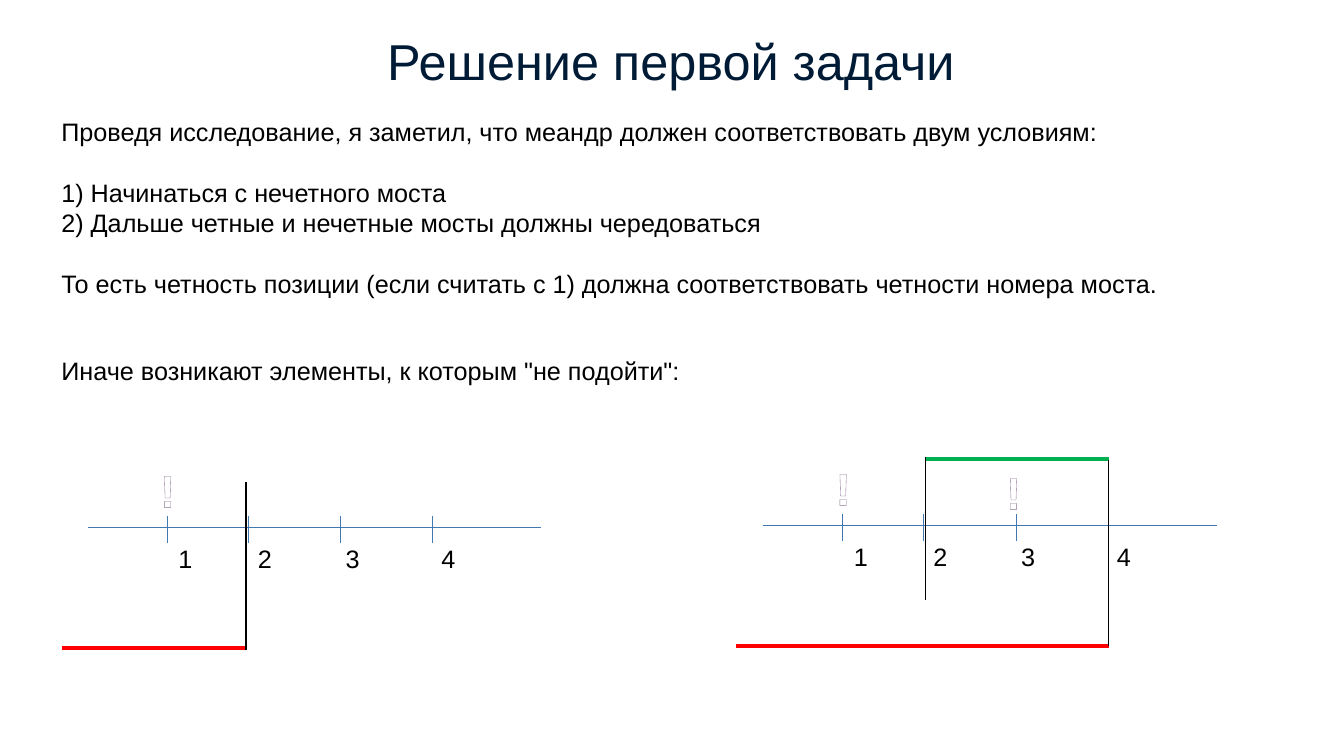
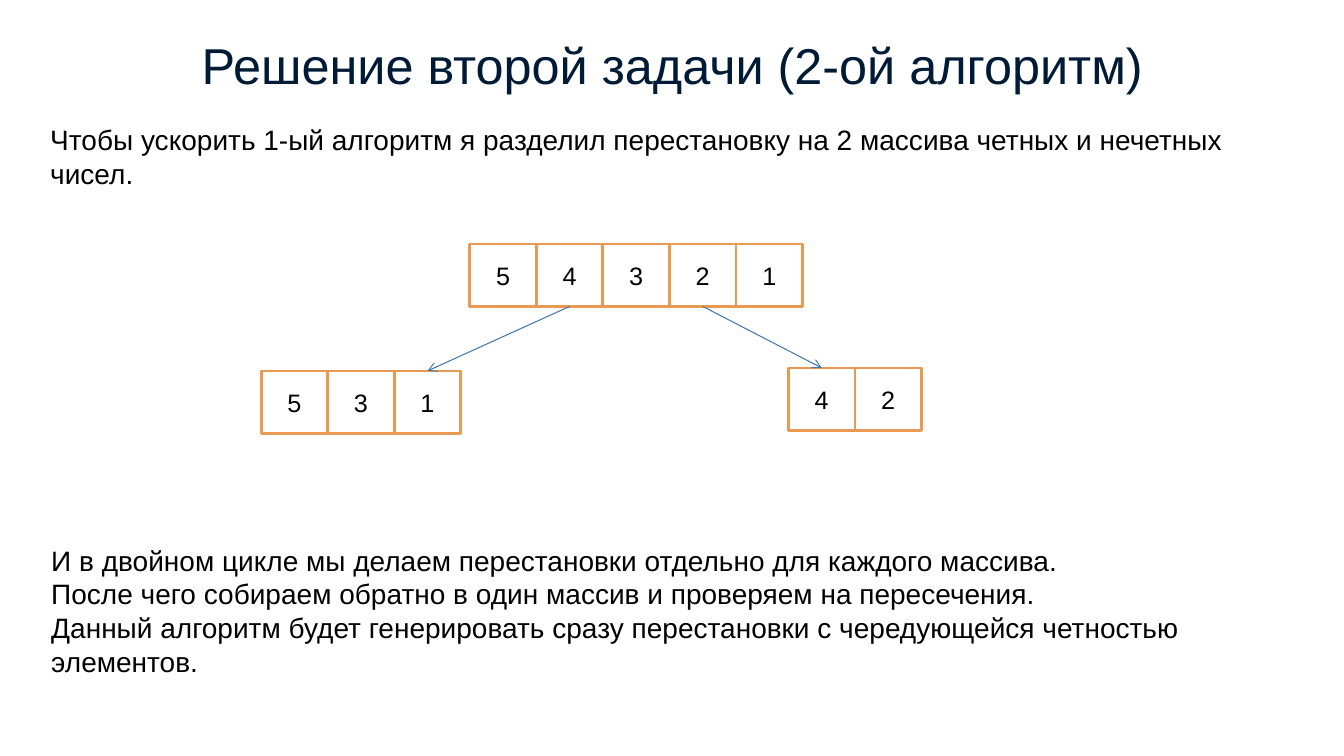
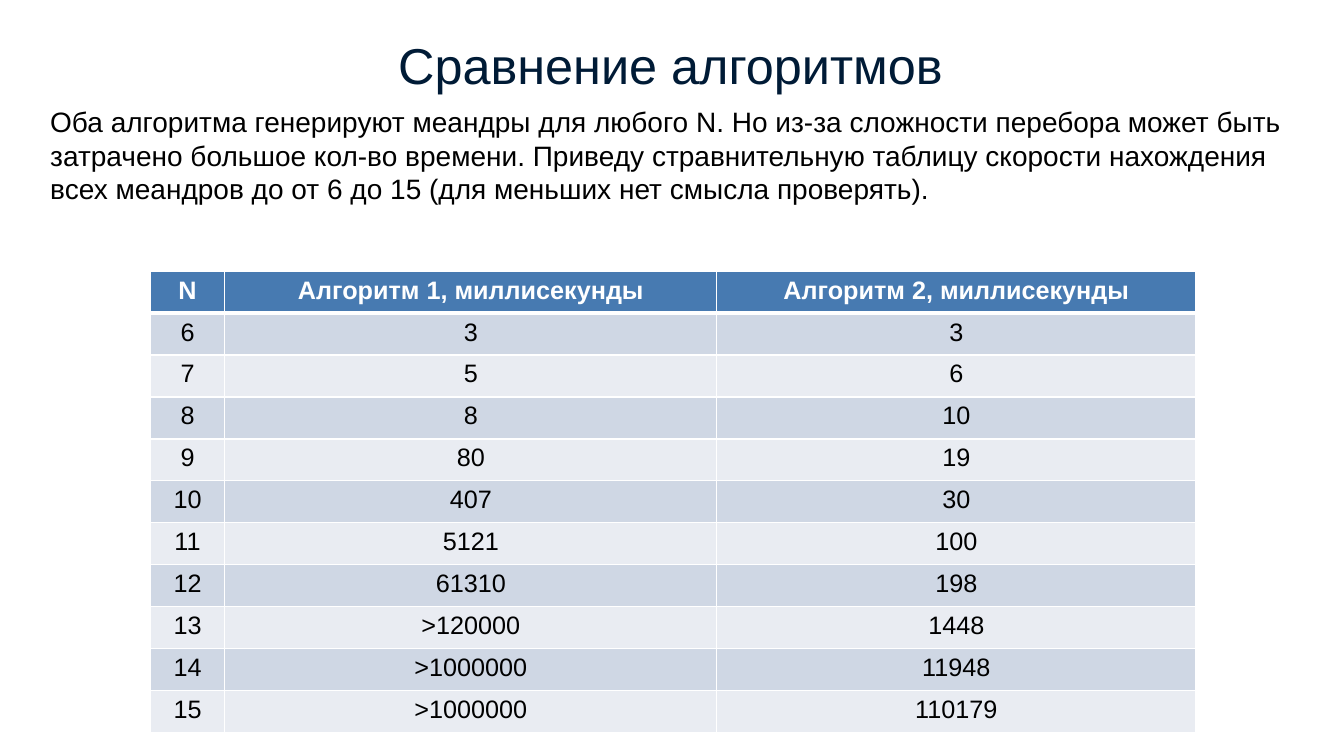
from lxml.etree import SubElement
from pptx import Presentation
from pptx.dml.color import RGBColor
from pptx.enum.shapes import MSO_CONNECTOR, MSO_SHAPE
from pptx.enum.text import MSO_ANCHOR, PP_ALIGN
from pptx.oxml import parse_xml
from pptx.oxml.ns import nsdecls, qn
from pptx.util import Inches, Pt

FONT = "Arial"
NAVY = RGBColor(0x00, 0x1B, 0x36)
BLACK = RGBColor(0x00, 0x00, 0x00)
WHITE = RGBColor(0xFF, 0xFF, 0xFF)
BLUE = RGBColor(0x43, 0x77, 0xB0)
RED = RGBColor(0xFF, 0x00, 0x00)
GREEN = RGBColor(0x00, 0xB0, 0x50)
ORANGE = RGBColor(0xE8, 0x9A, 0x53)
MAUVE = RGBColor(0x8B, 0x73, 0x96)
HEADER_FILL = RGBColor(0x47, 0x7A, 0xB1)
ROW_FILLS = (RGBColor(0xE9, 0xEC, 0xF2), RGBColor(0xCF, 0xD7, 0xE4))


def write(frame, lines, size, color=BLACK, align=PP_ALIGN.LEFT, bold=False):
    """Fill a text frame with one paragraph per line."""
    frame.word_wrap = True
    for index, line in enumerate(lines):
        paragraph = frame.paragraphs[0] if index == 0 else frame.add_paragraph()
        paragraph.alignment = align
        run = paragraph.add_run()
        run.text = line
        run.font.name = FONT
        run.font.size = Pt(size)
        run.font.bold = bold
        run.font.color.rgb = color
    return frame


def draw_line(slide, x1, y1, x2, y2, color=BLUE, width=0.75):
    line = slide.shapes.add_connector(
        MSO_CONNECTOR.STRAIGHT, Inches(x1), Inches(y1), Inches(x2), Inches(y2))
    line.line.color.rgb = color
    line.line.width = Pt(width)
    SubElement(line._element.spPr, qn("a:effectLst"))
    return line


prs = Presentation()
prs.slide_width = Inches(13.33)
prs.slide_height = Inches(7.5)

# Slides with their titles
slides = []
for title, left, top, width, height in (
    ("Решение первой задачи", 0.01, 0.25, 13.29, 0.7),
    ("Решение второй задачи (2-ой алгоритм)", 0.67, 0.19, 12, 0.9),
    ("Сравнение алгоритмов", 0.65, 0.01, 12, 1.25),
):
    slide = prs.slides.add_slide(prs.slide_layouts[6])
    heading = slide.shapes.add_textbox(
        Inches(left), Inches(top), Inches(width), Inches(height)).text_frame
    heading.vertical_anchor = MSO_ANCHOR.MIDDLE
    write(heading, [title], 36, NAVY, PP_ALIGN.CENTER)
    slides.append(slide)
first_task, second_task, comparison = slides

# Body texts
bodies = []
for slide, left, top, width, height, size, lines in (
    (first_task, 0.51, 1.11, 12.37, 2.2, 18, [
        "Проведя исследование, я заметил, что меандр должен соответствовать двум условиям:",
        "1) Начинаться с нечетного моста",
        "2) Дальше четные и нечетные мосты должны чередоваться",
        "То есть четность позиции (если считать с 1) должна соответствовать четности номера моста."]),
    (first_task, 0.51, 3.48, 12.29, 0.4, 18, [
        'Иначе возникают элементы, к которым "не подойти":']),
    (second_task, 0.4, 1.17, 12.5, 1.07, 20, [
        "Чтобы ускорить 1-ый алгоритм я разделил перестановку на 2 массива четных и нечетных чисел."]),
    (second_task, 0.41, 5.34, 12.5, 1.43, 20, [
        "И в двойном цикле мы делаем перестановки отдельно для каждого массива.",
        "После чего собираем обратно в один массив и проверяем на пересечения.",
        "Данный алгоритм будет генерировать сразу перестановки с чередующейся четностью элементов."]),
    (comparison, 0.4, 0.99, 12.5, 1.43, 20, [
        "Оба алгоритма генерируют меандры для любого N. Но из-за сложности перебора может быть "
        "затрачено большое кол-во времени. Приведу стравнительную таблицу скорости нахождения "
        "всех меандров до от 6 до 15 (для меньших нет смысла проверять)."]),
):
    body = slide.shapes.add_textbox(
        Inches(left), Inches(top), Inches(width), Inches(height)).text_frame
    bodies.append(write(body, lines, size))
conditions = bodies[0].paragraphs
for separated in (conditions[1], conditions[3]):
    separated.space_before = Pt(21.6)

# Slide 1: two river axes with numbered bridges
for dx, dy in ((0, 0), (6.7, -0.02)):
    draw_line(first_task, 0.87 + dx, 5.23 + dy, 5.37 + dx, 5.23 + dy)
    for number, tick_x, label_x in (
            ("1", 1.66, 1.67), ("2", 2.46, 2.46), ("3", 3.38, 3.33), ("4", 4.29, 4.28)):
        draw_line(first_task, tick_x + dx, 5.12 + dy, tick_x + dx, 5.39 + dy)
        label = first_task.shapes.add_textbox(
            Inches(label_x + dx), Inches(5.34 + dy), Inches(0.53), Inches(0.4))
        write(label.text_frame, [number], 18)

# Slide 1: meander paths
for x1, y1, x2, y2, color, width in (
    (0.62, 6.43, 2.44, 6.43, RED, 3),
    (2.44, 4.78, 2.44, 6.45, BLACK, 0.75),
    (7.3, 6.41, 11, 6.41, RED, 3),
    (9.18, 4.55, 11, 4.55, GREEN, 3),
    (10.99, 4.56, 10.99, 6.41, BLACK, 0.75),
    (9.18, 4.53, 9.18, 5.95, BLACK, 0.75),
):
    draw_line(first_task, x1, y1, x2, y2, color, width)

# Slide 1: outlined marks over unreachable bridges
for left, top in ((1.49, 4.54), (8.19, 4.52), (9.88, 4.56)):
    mark = first_task.shapes.add_textbox(
        Inches(left), Inches(top), Inches(0.42), Inches(0.63)).text_frame
    write(mark, ["!"], 32, WHITE, bold=True)
    mark.paragraphs[0].runs[0].font._element.insert(0, parse_xml(
        f'<a:ln {nsdecls("a")} w="{Pt(0.8)}"><a:solidFill>'
        f'<a:srgbClr val="{MAUVE}"/></a:solidFill></a:ln>'))

# Slide 2: the permutation and its odd and even arrays
arrays = []
for left, top, digits in ((4.66, 2.42, "54321"), (2.59, 3.68, "531"), (7.82, 3.65, "42")):
    array = []
    for index, digit in enumerate(digits):
        box = second_task.shapes.add_shape(
            MSO_SHAPE.RECTANGLE, Inches(left + 0.66 * index), Inches(top),
            Inches(0.66), Inches(0.62))
        box.shadow.inherit = False
        box.fill.background()
        box.line.color.rgb = ORANGE
        box.line.width = Pt(2)
        box.text_frame.vertical_anchor = MSO_ANCHOR.MIDDLE
        write(box.text_frame, [digit], 18, align=PP_ALIGN.CENTER)
        array.append(box)
    arrays.append(array)
permutation, odds, evens = arrays

for source, target in ((permutation[1], odds[2]), (permutation[3], evens[0])):
    arrow = draw_line(second_task, 0, 0, 1, 1)
    arrow.begin_connect(source, 2)
    arrow.end_connect(target, 0)
    SubElement(arrow.line._get_or_add_ln(), qn("a:tailEnd"), type="arrow")

# Slide 3: timing table
timings = (
    ("N", "Алгоритм 1, миллисекунды", "Алгоритм 2, миллисекунды"),
    ("6", "3", "3"),
    ("7", "5", "6"),
    ("8", "8", "10"),
    ("9", "80", "19"),
    ("10", "407", "30"),
    ("11", "5121", "100"),
    ("12", "61310", "198"),
    ("13", ">120000", "1448"),
    ("14", ">1000000", "11948"),
    ("15", ">1000000", "110179"),
)
table = comparison.shapes.add_table(
    len(timings), 3, Inches(1.49), Inches(2.69), Inches(10.37), Inches(4.58)).table
for column, width in zip(table.columns, (0.74, 4.88, 4.75)):
    column.width = Inches(width)
for row_index, values in enumerate(timings):
    is_header = row_index == 0
    for column_index, value in enumerate(values):
        cell = table.cell(row_index, column_index)
        cell.fill.solid()
        cell.fill.fore_color.rgb = HEADER_FILL if is_header else ROW_FILLS[row_index % 2]
        write(cell.text_frame, [value], 18, WHITE if is_header else BLACK,
              PP_ALIGN.CENTER, is_header)
        borders = {"lnL": 1, "lnR": 1, "lnT": 3 if row_index == 1 else 1,
                   "lnB": 3 if is_header else 1}
        for position, (side, width) in enumerate(borders.items()):
            cell._tc.get_or_add_tcPr().insert(position, parse_xml(
                f'<a:{side} {nsdecls("a")} w="{Pt(width)}"><a:solidFill>'
                f'<a:srgbClr val="{WHITE}"/></a:solidFill></a:{side}>'))

prs.save("out.pptx")
